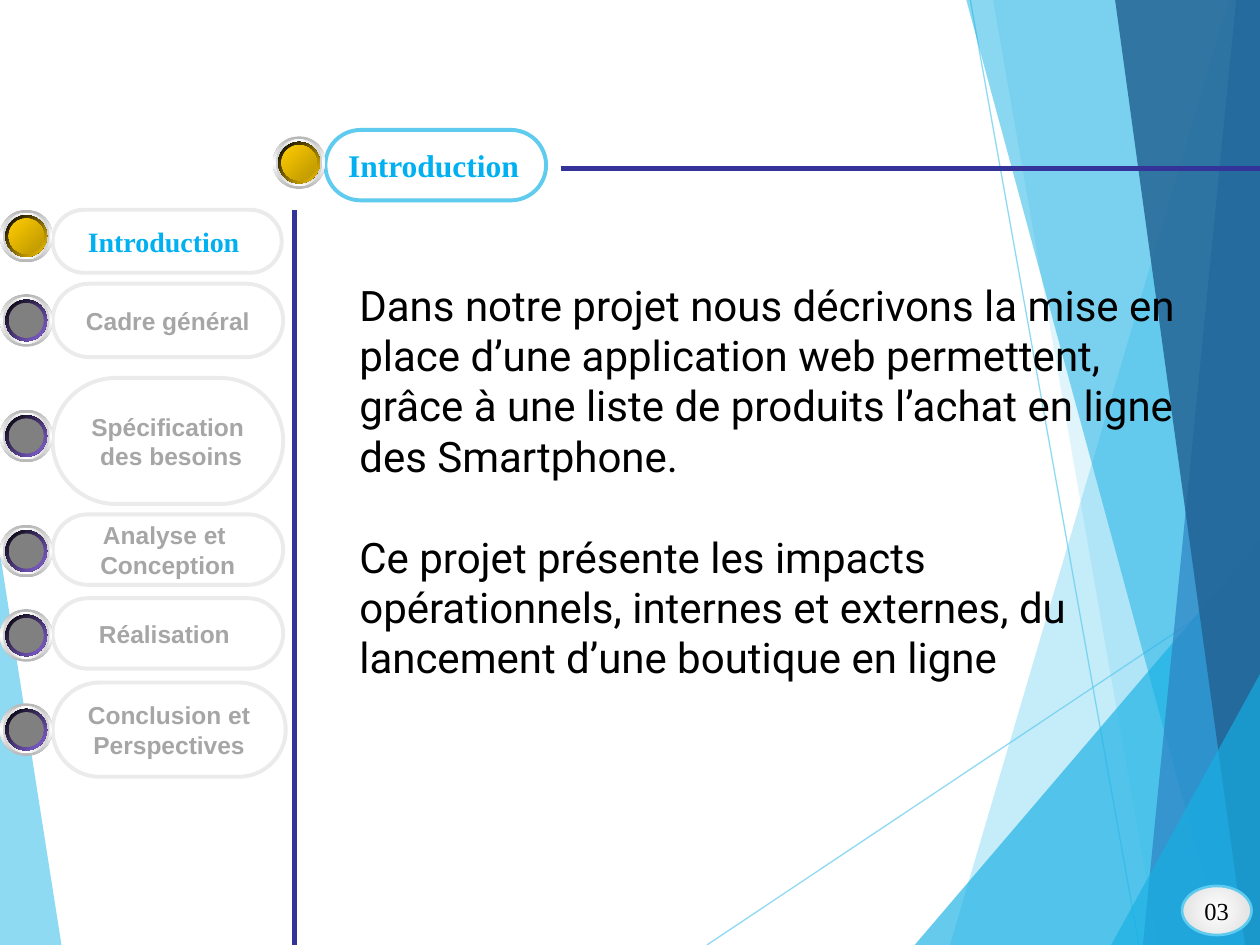
from lxml import etree
from pptx import Presentation, util as u
from pptx.dml.color import RGBColor
from pptx.enum import shapes, text
from pptx.oxml.ns import qn

WIDTH, HEIGHT = 25.4, 19.05
BUTTON = 1.06
SKY, AZURE, BLUE, NAVY = "5FCBEF", "17B0E4", "2E83C3", "226292"
INDIGO, CYAN, PALE, GREY = "333399", "00B0F0", "EBEBEB", "A6A6A6"
SERIF, SANS, BODY = "Times New Roman", "Arial", "Roboto"
GOLD = (("000000", "FFCC00"), ("FFCC00", "BA9500"))
IDLE = (("000000", "8D67E1"), ("808080", "808080"))


def color(value):
    return RGBColor.from_string(value)


def box(left, top, width, height):
    return u.Cm(left), u.Cm(top), u.Cm(width), u.Cm(height)


def band(top, bottom):
    return [(top, 0), (bottom, HEIGHT), (WIDTH, HEIGHT), (WIDTH, 0)]


def corner(left, top):
    return [(left, HEIGHT), (WIDTH, top), (WIDTH, HEIGHT)]


class SlideBuilder:
    def __init__(self, slide):
        self.slide = slide

    def set_opacity(self, shape, percent):
        for value in shape._element.spPr.iter(qn("a:srgbClr")):
            etree.SubElement(value, qn("a:alpha"), val=str(percent * 1000))

    def set_gradient(self, shape, stops, angle=None):
        shape.fill.gradient()
        gradient = shape._element.spPr.find(qn("a:gradFill"))
        for child in list(gradient):
            gradient.remove(child)
        stop_list = etree.SubElement(gradient, qn("a:gsLst"))
        for index, value in enumerate(stops):
            position = index * 100000 // (len(stops) - 1)
            stop = etree.SubElement(stop_list, qn("a:gs"), pos=str(position))
            etree.SubElement(stop, qn("a:srgbClr"), val=value)
        if angle is None:
            radial = etree.SubElement(gradient, qn("a:path"), path="circle")
            etree.SubElement(radial, qn("a:fillToRect"),
                             l="50000", t="50000", r="50000", b="50000")
        else:
            etree.SubElement(gradient, qn("a:lin"),
                             ang=str(angle * 60000), scaled="0")

    def format_text(self, frame, content, font, size, value, bold=False, align=None):
        frame.text = content
        for paragraph in frame.paragraphs:
            paragraph.alignment = align or text.PP_ALIGN.CENTER
            for run in paragraph.runs:
                run.font.name = font
                run.font.size = u.Pt(size)
                run.font.bold = bold
                run.font.color.rgb = color(value)

    def facet(self, points, value, opacity):
        corners = [(u.Cm(x), u.Cm(y)) for x, y in points]
        builder = self.slide.shapes.build_freeform(*corners[0])
        builder.add_line_segments(corners[1:], close=True)
        shape = builder.convert_to_shape()
        shape.shadow.inherit = False
        shape.fill.solid()
        shape.fill.fore_color.rgb = color(value)
        shape.line.fill.background()
        self.set_opacity(shape, opacity)

    def line(self, start, end, value, width, opacity=100):
        connector = self.slide.shapes.add_connector(
            shapes.MSO_CONNECTOR.STRAIGHT, *box(*start, *end))
        connector.line.color.rgb = color(value)
        connector.line.width = u.Pt(width)
        etree.SubElement(connector._element.spPr, qn("a:effectLst"))
        if opacity < 100:
            self.set_opacity(connector, opacity)

    def button(self, left, top, palette):
        rim, face = palette
        group = self.slide.shapes.add_group_shape()
        discs = [
            (BUTTON, ("B6B6B6", "FFFFFF", "B6B6B6"), 90),
            (0.94, ("D1D1D1", "FFFFFF", "D1D1D1"), 0),
            (0.84, rim, 45),
            (0.71, face, 45),
        ]
        for size, stops, angle in discs:
            inset = (BUTTON - size) / 2
            disc = group.shapes.add_shape(
                shapes.MSO_SHAPE.OVAL, *box(left + inset, top + inset, size, size))
            disc.shadow.inherit = False
            disc.line.fill.background()
            self.set_gradient(disc, stops, angle)

    def pill(self, bounds, outline, content, font, size, value, align=None):
        shape = self.slide.shapes.add_shape(
            shapes.MSO_SHAPE.ROUNDED_RECTANGLE, *box(*bounds))
        shape.adjustments[0] = 0.5
        shape.shadow.inherit = False
        shape.fill.background()
        shape.line.color.rgb = color(outline)
        shape.line.width = u.Pt(2.25)
        shape.text_frame.word_wrap = False
        shape.text_frame.vertical_anchor = text.MSO_ANCHOR.MIDDLE
        self.format_text(shape.text_frame, content, font, size, value, True, align)

    def page_number(self, bounds, content):
        shape = self.slide.shapes.add_shape(shapes.MSO_SHAPE.OVAL, *box(*bounds))
        shape.shadow.inherit = False
        self.set_gradient(shape, ("FFFFFF", "DCDCDC"))
        shape.line.color.rgb = color(SKY)
        shape.line.width = u.Pt(1.5)
        shape.text_frame.word_wrap = False
        shape.text_frame.vertical_anchor = text.MSO_ANCHOR.MIDDLE
        self.format_text(shape.text_frame, content, SERIF, 14, "000000")

    def title(self, bounds, content):
        shape = self.slide.shapes.title
        shape.left, shape.top, shape.width, shape.height = box(*bounds)
        frame = shape.text_frame
        self.format_text(frame, content, BODY, 24, "000000", align=text.PP_ALIGN.LEFT)
        frame.word_wrap = True
        frame.auto_size = text.MSO_AUTO_SIZE.NONE
        frame.vertical_anchor = text.MSO_ANCHOR.TOP
        for paragraph in frame.paragraphs[1:]:
            paragraph.space_before = u.Pt(28.8)
        self.slide.shapes._spTree.append(shape._element)


def main():
    presentation = Presentation()
    presentation.slide_width, presentation.slide_height = u.Cm(WIDTH), u.Cm(HEIGHT)
    builder = SlideBuilder(presentation.slides.add_slide(presentation.slide_layouts[5]))

    builder.facet([(0, 11.15), (1.24, HEIGHT), (0, HEIGHT)], SKY, 70)
    builder.line((14.25, HEIGHT), (WIDTH, 11.61), SKY, 0.75, 70)
    builder.line((19.56, 0), (22.96, HEIGHT), SKY, 0.75, 70)
    for points, value, opacity in [
        (band(24.77, 19.15), SKY, 36),
        (band(20.02, 23.34), SKY, 20),
        (corner(18.44, 10.9), AZURE, 66),
        (band(19.48, 24.64), AZURE, 50),
        (band(24.92, 23.04), BLUE, 70),
        (band(22.48, 25.1), NAVY, 82),
        (corner(22.4, 13.59), AZURE, 66),
    ]:
        builder.facet(points, value, opacity)

    builder.line((5.93, 4.23), (5.93, HEIGHT), INDIGO, 3)
    builder.line((11.3, 3.39), (WIDTH, 3.39), INDIGO, 3)

    current = (SERIF, 16, CYAN)
    other = (SANS, 14, GREY)
    for top, width, height, button_top, content, style, palette in [
        (4.23, 4.62, 1.27, 4.23, "Introduction ", current, GOLD),
        (5.72, 4.65, 1.48, 5.93, "Cadre général", other, IDLE),
        (7.62, 4.65, 2.54, 8.26, "Spécification\n des besoins", other, IDLE),
        (10.37, 4.65, 1.42, 10.58, "Analyse et \nConception", other, IDLE),
        (12.06, 4.65, 1.42, 12.28, "Réalisation ", other, IDLE),
        (13.76, 4.7, 1.9, 14.18, "Conclusion et\nPerspectives", other, IDLE),
    ]:
        builder.pill((BUTTON, top, width, height), PALE, content, *style)
        builder.button(0, button_top, palette)

    builder.pill((6.56, 2.62, 4.45, 1.42), SKY, "Introduction", SERIF, 18, CYAN,
                 text.PP_ALIGN.LEFT)
    builder.button(5.5, 2.75, GOLD)
    builder.page_number((23.83, 17.86, 1.4, 0.99), "03")
    builder.title(
        (6.99, 5.5, 17.15, 11),
        "Dans notre projet nous décrivons la mise en place d’une application web "
        "permettent, grâce à une liste de produits l’achat en ligne des Smartphone.\n"
        "Ce projet présente les impacts opérationnels, internes et externes, "
        "du lancement d’une boutique en ligne",
    )
    presentation.save("out.pptx")


if __name__ == "__main__":
    main()
